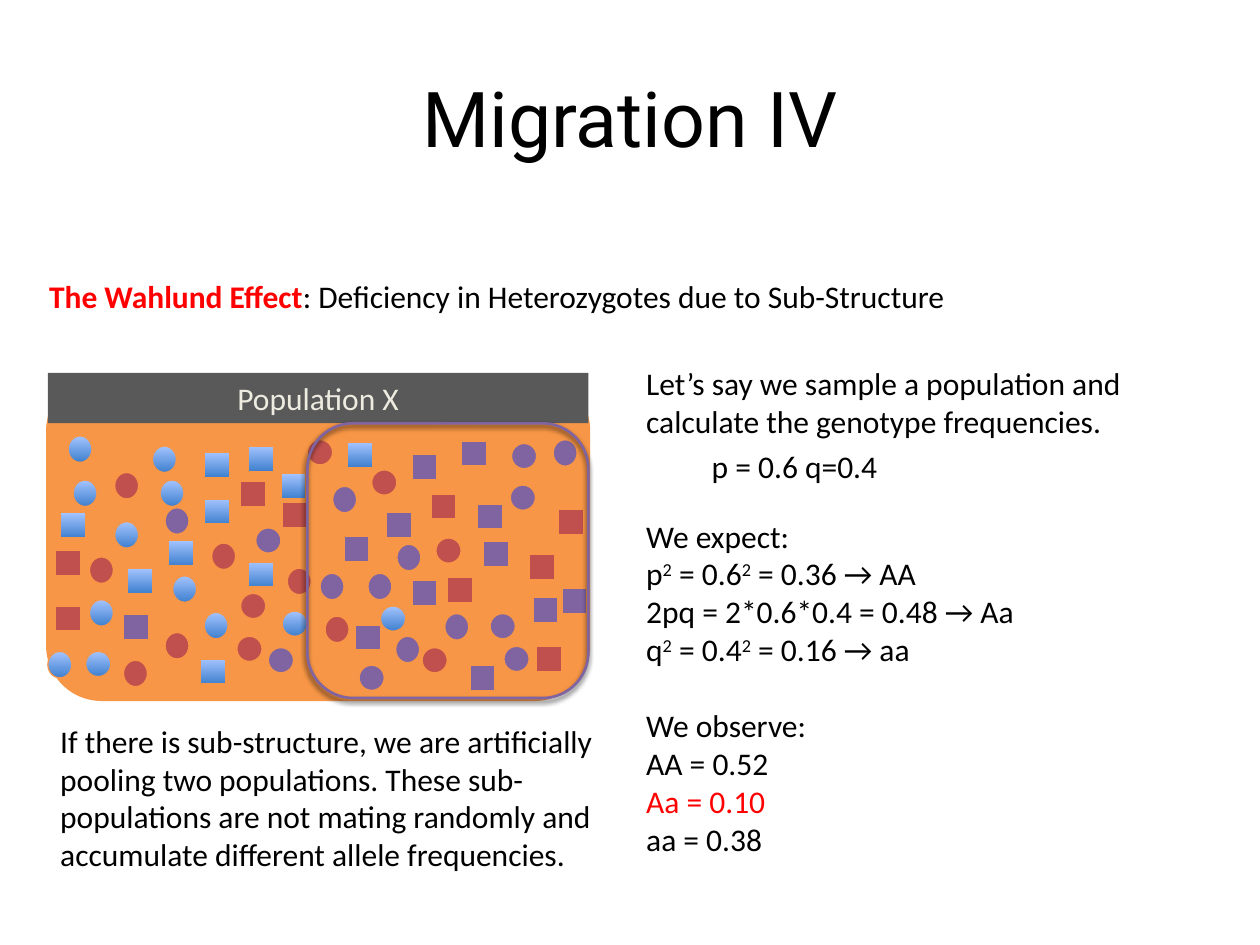
from dataclasses import dataclass

import lxml.etree
import pptx
import pptx.dml.color
import pptx.enum.shapes
import pptx.enum.text
import pptx.oxml.ns
import pptx.util
from pptx.util import Inches

SHAPE = pptx.enum.shapes.MSO_SHAPE
ANCHOR = pptx.enum.text.MSO_ANCHOR
ALIGN = pptx.enum.text.PP_ALIGN
GROW = pptx.enum.text.MSO_AUTO_SIZE.SHAPE_TO_FIT_TEXT

BLACK, RED, ORANGE, PURPLE, BRICK = "000000", "FF0000", "F79646", "8064A2", "C0504D"
BLUE = ("3F80CE", "A4C4FF")
BODY = {"name": "Calibri", "size": pptx.util.Pt(18), "bold": False}
TITLE = {"name": "Roboto", "size": pptx.util.Pt(44)}
LINE = 22


@dataclass(frozen=True)
class Box:
    left: float
    top: float
    width: float
    height: float

    def inches(self) -> list:
        return [Inches(n) for n in (self.left, self.top, self.width, self.height)]


@dataclass(frozen=True)
class Piece:
    text: str
    color: str = BLACK
    bold: bool = False
    raised: bool = False


@dataclass(frozen=True)
class Line:
    pieces: tuple
    before: int = 0


@dataclass(frozen=True)
class Individuals:
    outline: object
    width: float
    height: float
    fill: object
    places: tuple


OVAL = (SHAPE.OVAL, 0.19, 0.21)
CIRCLE = (SHAPE.OVAL, 0.2, 0.2)
SQUARE = (SHAPE.RECTANGLE, 0.2, 0.2)

POPULATION = (
    Individuals(*OVAL, BLUE, (
        (0.54, 3.46), (1.21, 3.54), (0.58, 3.81), (1.37, 4.57), (0.91, 4.14),
        (0.38, 5.17), (0.71, 4.76), (1.62, 4.86), (1.27, 3.81))),
    Individuals(*OVAL, BRICK, (
        (1.31, 5.02), (0.91, 3.75), (0.98, 5.24), (2.28, 4.51), (0.71, 4.42),
        (2.58, 4.89), (1.68, 4.31))),
    Individuals(*OVAL, PURPLE, (
        (1.31, 4.03), (3.53, 4.87), (4.39, 3.49), (2.64, 3.86), (3.14, 5.05),
        (2.92, 4.55), (2.54, 4.55), (3.15, 4.32))),
    Individuals(*CIRCLE, BLUE, ((0.68, 5.17), (2.24, 4.85), (3.02, 4.81))),
    Individuals(*CIRCLE, BRICK, (
        (2.44, 3.49), (1.91, 4.71), (3.46, 4.27), (1.88, 5.05), (2.95, 3.73),
        (3.35, 5.14))),
    Individuals(*CIRCLE, PURPLE, (
        (2.13, 5.14), (2.03, 4.19), (4.05, 3.85), (2.85, 5.28), (3.89, 4.87),
        (4, 5.13), (4.06, 3.52))),
    Individuals(*SQUARE, BLUE, (
        (2.76, 3.51), (1.34, 4.29), (0.48, 4.07), (2.23, 3.76), (1.62, 3.96),
        (1.97, 3.54), (1.62, 3.59), (1.59, 5.23), (1.01, 4.51), (1.97, 4.46))),
    Individuals(*SQUARE, BRICK, (
        (3.55, 4.58), (4.43, 4.04), (0.44, 4.37), (4.26, 5.13), (0.44, 4.81),
        (1.91, 3.82), (3.42, 3.92), (2.24, 3.99), (4.2, 4.4))),
    Individuals(*SQUARE, PURPLE, (
        (3.73, 5.28), (0.98, 4.88), (3.27, 4.61), (3.07, 4.07), (3.79, 4),
        (3.27, 3.61), (4.46, 4.67), (2.73, 4.26), (4.23, 4.74), (3.84, 4.3),
        (2.82, 4.96), (3.66, 3.5))),
)


def rgb(color: str) -> pptx.dml.color.RGBColor:
    return pptx.dml.color.RGBColor.from_string(color)


def format_font(font, values: dict, color: str) -> None:
    for key, value in values.items():
        setattr(font, key, value)
    font.color.rgb = rgb(color)


def paint(fill, color) -> None:
    if color is None:
        fill.background()
    elif isinstance(color, tuple):
        fill.gradient()
        fill.gradient_angle = 90
        for stop, stop_color in zip(fill.gradient_stops, color):
            stop.color.rgb = rgb(stop_color)
    else:
        fill.solid()
        fill.fore_color.rgb = rgb(color)


def add_figure(slide, outline, box: Box, fill, edge, weight: float = 0.75):
    figure = slide.shapes.add_shape(outline, *box.inches())
    figure.shadow.inherit = False
    paint(figure.fill, fill)
    paint(figure.line.fill, edge)
    if edge:
        figure.line.width = pptx.util.Pt(weight)
    return figure


def add_shadow(figure) -> None:
    qn = pptx.oxml.ns.qn
    effects = figure._element.spPr.find(qn("a:effectLst"))
    shadow = lxml.etree.SubElement(
        effects, qn("a:outerShdw"), blurRad="38100", dist="25400",
        dir="6600000", rotWithShape="0")
    color = lxml.etree.SubElement(shadow, qn("a:srgbClr"), val=BLACK)
    lxml.etree.SubElement(color, qn("a:alpha"), val="75000")


def write_line(paragraph, line: Line) -> None:
    if line.before:
        paragraph.space_before = pptx.util.Pt(line.before)
    for piece in line.pieces:
        run = paragraph.add_run()
        run.text = piece.text
        format_font(run.font, BODY | {"bold": piece.bold}, piece.color)
        if piece.raised:
            run._r.get_or_add_rPr().set("baseline", "30000")


def add_text(slide, box: Box, lines: list):
    frame = slide.shapes.add_textbox(*box.inches()).text_frame
    frame.word_wrap = True
    frame.auto_size = GROW
    for number, line in enumerate(lines):
        write_line(frame.add_paragraph() if number else frame.paragraphs[0], line)
    return frame


def plain(text: str, color: str = BLACK, before: int = 0) -> Line:
    return Line((Piece(text, color),), before)


def squared(allele: str, frequency: str, result: str) -> Line:
    exponent = Piece("2", raised=True)
    return Line((Piece(allele), exponent, Piece(f" = {frequency}"), exponent,
                 Piece(f" = {result}")))


def add_title(slide) -> None:
    title = slide.shapes.title
    for key, value in zip(("left", "top", "width", "height"),
                          Box(0.5, 0.3, 9, 1.25).inches()):
        setattr(title, key, value)
    title.text_frame.text = "Migration IV"
    title.text_frame.vertical_anchor = ANCHOR.MIDDLE
    heading = title.text_frame.paragraphs[0]
    heading.alignment = ALIGN.CENTER
    format_font(heading.runs[0].font, TITLE, BLACK)


def add_effect(slide) -> None:
    effect = add_text(slide, Box(0.31, 1.91, 9.42, 0.79), [Line((
        Piece("The Wahlund Effect", RED, bold=True),
        Piece(": Deficiency in Heterozygotes due to Sub-Structure")))])
    layout = {"vertical_anchor": ANCHOR.MIDDLE,
              "margin_left": Inches(0.08), "margin_right": Inches(0.08),
              "margin_top": Inches(0.2), "margin_bottom": Inches(0.2)}
    for key, value in layout.items():
        setattr(effect, key, value)
    effect.paragraphs[0].line_spacing = 1.3
    effect.paragraphs[0].space_after = pptx.util.Pt(12)


def add_population(slide) -> None:
    add_figure(slide, SHAPE.ROUNDED_RECTANGLE, Box(0.38, 2.99, 4.29, 2.56), ORANGE, ORANGE, 2)
    for group in POPULATION:
        for left, top in group.places:
            add_figure(slide, group.outline, Box(left, top, group.width, group.height),
                       group.fill, ORANGE)
    header = add_figure(slide, SHAPE.RECTANGLE, Box(0.38, 2.96, 4.29, 0.4), "595959", None)
    write_line(header.text_frame.paragraphs[0], plain("Population X", "EEECE1"))
    header.text_frame.paragraphs[0].alignment = ALIGN.CENTER
    subpopulation = add_figure(slide, SHAPE.ROUNDED_RECTANGLE, Box(2.44, 3.36, 2.23, 2.18),
                               None, PURPLE, 1.5)
    add_shadow(subpopulation)


def main() -> None:
    deck = pptx.Presentation()
    deck.slide_width, deck.slide_height = Inches(10), Inches(7.5)
    slide = deck.slides.add_slide(deck.slide_layouts[5])
    add_title(slide)
    add_effect(slide)
    add_population(slide)
    add_text(slide, Box(5.55, 3.5, 3.01, 0.4), [plain("p = 0.6 q=0.4")])
    add_text(slide, Box(5.03, 2.84, 4.41, 4.34), [
        plain("Let’s say we sample a population and calculate the genotype frequencies."),
        plain("We expect:", before=2 * LINE),
        squared("p", "0.6", "0.36 → AA"),
        plain("2pq = 2*0.6*0.4 = 0.48 → Aa"),
        squared("q", "0.4", "0.16 → aa"),
        plain("We observe:", before=LINE),
        plain("AA = 0.52"),
        plain("Aa = 0.10", RED),
        plain("aa = 0.38")])
    add_text(slide, Box(0.38, 5.68, 4.64, 1.31), [plain(
        "If there is sub-structure, we are artificially pooling two populations. "
        "These sub-populations are not mating randomly and accumulate different "
        "allele frequencies.")])
    deck.save("out.pptx")


if __name__ == "__main__":
    main()
